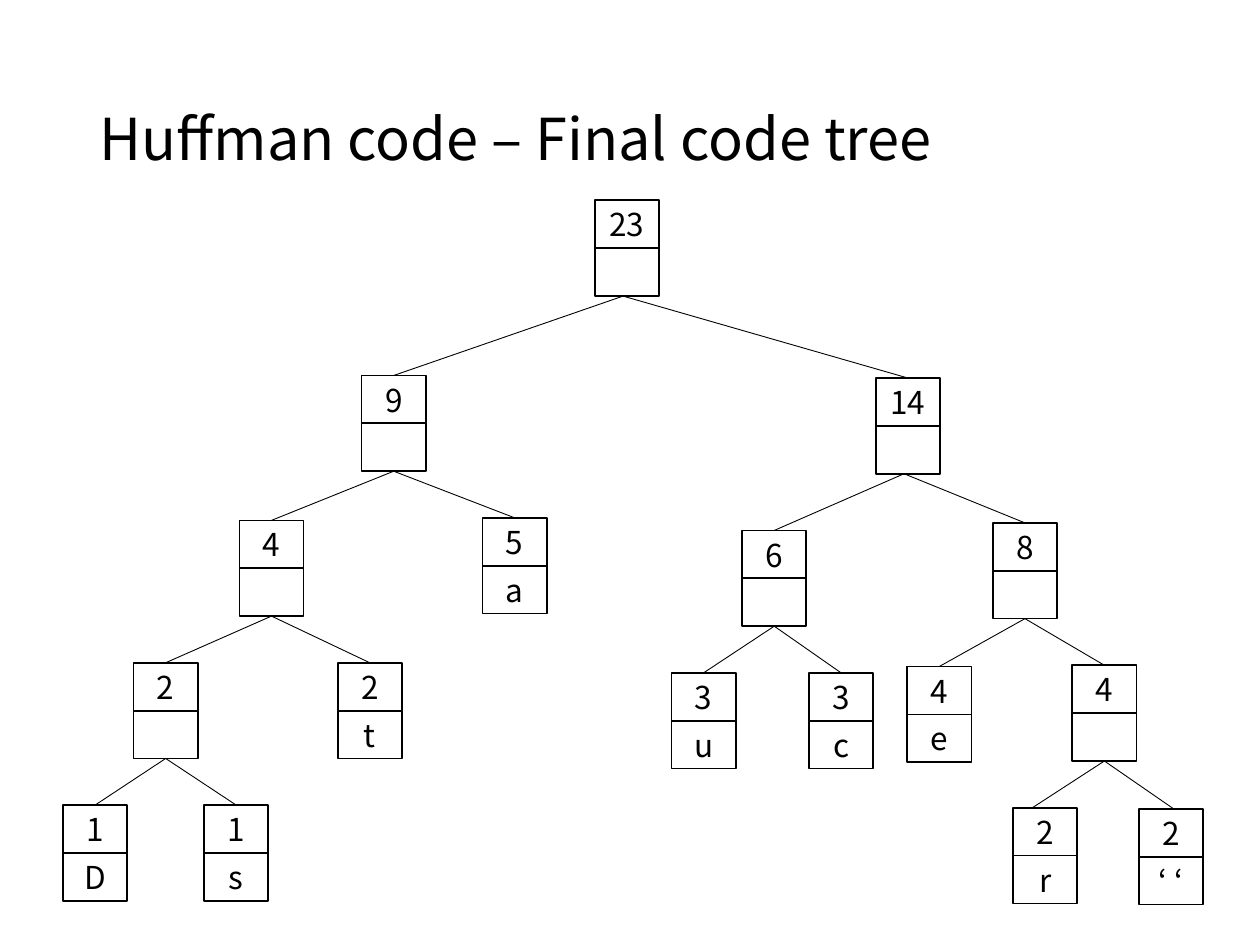
"""Build a slide that shows the final Huffman code tree."""
from lxml import etree
from pptx import Presentation
from pptx.dml.color import RGBColor
from pptx.enum.shapes import MSO_CONNECTOR, MSO_SHAPE
from pptx.enum.text import MSO_ANCHOR, MSO_AUTO_SIZE, PP_ALIGN
from pptx.oxml.ns import qn
from pptx.util import Inches, Pt

RECT, LINE = MSO_SHAPE.RECTANGLE, MSO_CONNECTOR.STRAIGHT
MID, FIXED = MSO_ANCHOR.MIDDLE, MSO_AUTO_SIZE.NONE
LEFT, CENTER = PP_ALIGN.LEFT, PP_ALIGN.CENTER

TITLE = "Huffman code – Final code tree"
NODES = {
    "root": (4.72, 1.59, "23", ""),
    "L": (2.87, 2.98, "9", ""),
    "R": (6.95, 3.00, "14", ""),
    "LL": (1.90, 4.13, "4", ""),
    "LR": (3.83, 4.11, "5", "a"),
    "RL": (5.89, 4.21, "6", ""),
    "RR": (7.88, 4.15, "8", ""),
    "LLL": (1.06, 5.26, "2", ""),
    "LLR": (2.68, 5.26, "2", "t"),
    "RLL": (5.33, 5.34, "3", "u"),
    "RLR": (6.42, 5.34, "3", "c"),
    "RRL": (7.20, 5.29, "4", "e"),
    "RRR": (8.51, 5.28, "4", ""),
    "LLLL": (0.50, 6.39, "1", "D"),
    "LLLR": (1.62, 6.39, "1", "s"),
    "RRRL": (8.04, 6.41, "2", "r"),
    "RRRR": (9.04, 6.42, "2", "‘ ‘"),
}
NUDGE_OUT = {"root": -0.03, "R": -0.03}
NUDGE_IN = {"RRRL": -0.1, "RRRR": 0.02}
WIDE, HIGH, STEP = 0.51, 0.38, 0.38

THEME = {
    "font": "Noto Sans CJK KR",
    "ink": RGBColor(0, 0, 0),
    "paper": RGBColor(255, 255, 255),
    "title": Pt(33),
    "label": Pt(18),
    "edge": Pt(0.5),
    "frame": Pt(1),
}
FRAME = {"vertical_anchor": MID, "word_wrap": True, "auto_size": FIXED}
TIGHT = dict.fromkeys(
    ("margin_left", "margin_right", "margin_top", "margin_bottom"), 0)


def apply(item, vals):
    """Set each named value on the item."""
    for name, val in vals.items():
        setattr(item, name, val)


def write(frame, text, size, align, **para):
    """Put one styled paragraph in a text frame."""
    line = frame.paragraphs[0]
    apply(line, {"alignment": align, **para})
    run = line.add_run()
    run.text = text
    apply(run.font, {"name": THEME["font"], "size": THEME[size]})
    run.font.color.rgb = THEME["ink"]


def stroke(item, width):
    """Give a shape or connector an ink line."""
    item.line.color.rgb = THEME["ink"]
    item.line.width = THEME[width]


def draw_edge(slide, key):
    """Join a node to its parent."""
    top = key[:-1] or "root"
    x1, y1 = NODES[top][:2]
    x2, y2 = NODES[key][:2]
    x1 += WIDE / 2 + NUDGE_OUT.get(top, 0)
    x2 += WIDE / 2 + NUDGE_IN.get(key, 0)
    ends = map(Inches, (x1, y1 + STEP + HIGH, x2, y2))
    edge = slide.shapes.add_connector(LINE, *ends)
    stroke(edge, "edge")
    etree.SubElement(edge._element.spPr, qn("a:effectLst"))


def draw_node(slide, left, top, *texts):
    """Stack the weight cell on the letter cell."""
    group = slide.shapes.add_group_shape()
    for row, text in enumerate(texts):
        area = map(Inches, (left, top + row * STEP, WIDE, HIGH))
        cell = group.shapes.add_shape(RECT, *area)
        cell.shadow.inherit = False
        cell.fill.solid()
        cell.fill.fore_color.rgb = THEME["paper"]
        stroke(cell, "frame")
        apply(cell.text_frame, {**FRAME, **TIGHT})
        if text:
            write(cell.text_frame, text, "label", CENTER)


def main():
    """Build and save the deck."""
    deck = Presentation()
    apply(deck, {"slide_width": Inches(10), "slide_height": Inches(7.5)})
    slide = deck.slides.add_slide(deck.slide_layouts[5])
    head = slide.shapes.title
    apply(head, {"left": Inches(0.69), "top": Inches(0.4),
                 "width": Inches(8.62), "height": Inches(1.45)})
    apply(head.text_frame, FRAME)
    write(head.text_frame, TITLE, "title", LEFT, line_spacing=0.9)
    for key in NODES:
        if key != "root":
            draw_edge(slide, key)
    for node in NODES.values():
        draw_node(slide, *node)
    deck.save("out.pptx")


if __name__ == "__main__":
    main()
